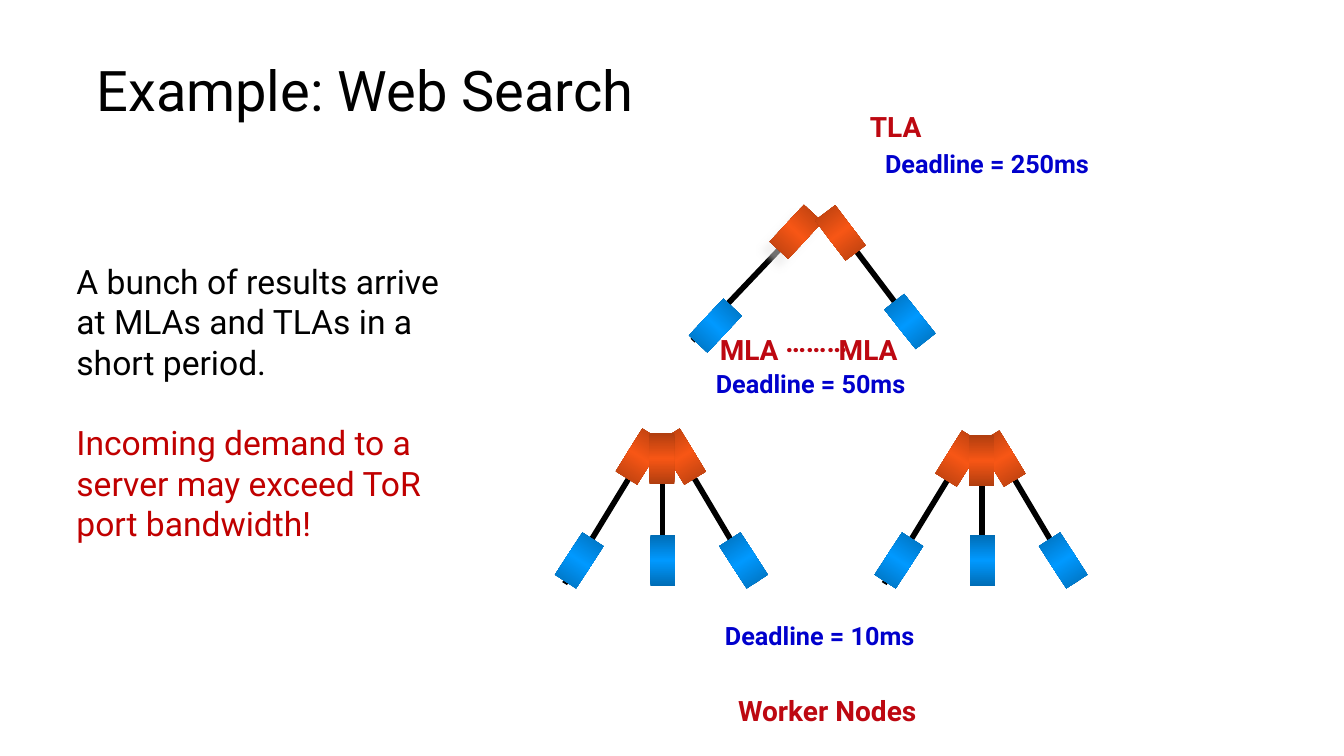
"""Build the web search example slide with its tree of deadlines."""
from copy import deepcopy
from dataclasses import dataclass
from typing import Optional

from lxml import etree
from pptx import Presentation
from pptx.dml.color import RGBColor
from pptx.enum.shapes import MSO_CONNECTOR, MSO_SHAPE
from pptx.enum.text import MSO_ANCHOR, MSO_AUTO_SIZE, PP_ALIGN
from pptx.oxml import parse_xml
from pptx.oxml.ns import nsdecls, qn
from pptx.shapes.autoshape import Shape
from pptx.slide import Slide
from pptx.text.text import TextFrame
from pptx.util import Inches, Pt

LEFT, MID = PP_ALIGN.LEFT, PP_ALIGN.CENTER
BOTTOM, TOP = MSO_ANCHOR.BOTTOM, MSO_ANCHOR.TOP
FIXED = MSO_AUTO_SIZE.NONE
RECT, LINE = MSO_SHAPE.RECTANGLE, MSO_CONNECTOR.STRAIGHT

FONT = "Roboto"
BLACK = RGBColor(0x00, 0x00, 0x00)
WHITE = RGBColor(0xFF, 0xFF, 0xFF)
RED = RGBColor(0xBD, 0x08, 0x11)
ALERT = RGBColor(0xC0, 0x00, 0x00)
NAVY = RGBColor(0x00, 0x00, 0xCC)
RUST = RGBColor(0xB1, 0x3E, 0x0F)
ORANGE = RGBColor(0xF7, 0x56, 0x15)
DEEP = RGBColor(0x00, 0x6D, 0xB6)
BLUE = RGBColor(0x00, 0x99, 0xFF)
WARM, COOL = (RUST, ORANGE, RUST), (DEEP, BLUE, DEEP)

BLOCK_W, BLOCK_H = 0.25, 0.5
FAN_GAP = 3.17


@dataclass(frozen=True)
class Label:
    text: str
    x: float
    y: float
    w: float
    h: float = 0.44
    size: int = 20
    color: RGBColor = RED
    align: PP_ALIGN = LEFT
    fill: Optional[RGBColor] = None


@dataclass(frozen=True)
class Link:
    x1: float
    y1: float
    x2: float
    y2: float


@dataclass(frozen=True)
class Block:
    x: float
    y: float
    turn: float
    tones: tuple[RGBColor, RGBColor, RGBColor]


LABELS = [
    Label("TLA", 8.53, 1.04, 0.83),
    Label("MLA", 8.22, 3.25, 0.91),
    Label("MLA", 7.04, 3.25, 0.91),
    Label("Worker Nodes", 7.12, 6.83, 2.17, align=MID),
    Label("………", 7.69, 3.17, 1, 0.77),
    Label("Deadline = 250ms", 8.58, 1.42, 2.42, 0.4, 18, NAVY, MID),
    Label("Deadline = 50ms", 6.83, 3.6, 2.42, 0.4, 18, NAVY, MID),
    Label("Deadline = 10ms", 6.92, 6.1, 2.42, 0.4, 18, NAVY, MID, WHITE),
]
TOP_LINKS = [Link(8.25, 2.17, 9.15, 3.36), Link(8.02, 2.17, 6.87, 3.38)]
FAN_LINKS = [
    Link(6.46, 4.38, 5.6, 5.79),
    Link(6.57, 4.37, 6.57, 5.77),
    Link(6.67, 4.38, 7.5, 5.78),
]
TOP_BLOCKS = [
    Block(8.21, 2.06, 322.8, WARM),
    Block(6.97, 2.98, 43.1, COOL),
    Block(8.9, 2.94, 321.6, COOL),
]
FAN_HEADS = [
    Block(6.22, 4.28, 31.8, WARM),
    Block(6.64, 4.28, 328.7, WARM),
    Block(6.44, 4.3, 0, WARM),
]
FAN_FEET = [
    Block(5.62, 5.31, 33, COOL),
    Block(7.25, 5.31, 327.1, COOL),
    Block(6.45, 5.31, 0, COOL),
]


def set_up(frame: TextFrame, anchor: MSO_ANCHOR = TOP) -> None:
    """Give a frame fixed size, wrapping and an anchor."""
    frame.word_wrap = True
    frame.auto_size = FIXED
    frame.vertical_anchor = anchor


def style(frame: TextFrame, size: int, color: RGBColor,
          align: PP_ALIGN = LEFT, bold: bool = False) -> None:
    """Format every paragraph and run of a frame."""
    for para in frame.paragraphs:
        para.alignment = align
        for run in para.runs:
            run.font.name = FONT
            run.font.size = Pt(size)
            run.font.bold = bold
            run.font.color.rgb = color


def add_label(slide: Slide, label: Label) -> None:
    """Draw one bold label."""
    box = slide.shapes.add_textbox(Inches(label.x), Inches(label.y),
                                   Inches(label.w), Inches(label.h))
    if label.fill is not None:
        box.fill.solid()
        box.fill.fore_color.rgb = label.fill
    set_up(box.text_frame)
    box.text_frame.text = label.text
    style(box.text_frame, label.size, label.color, label.align, True)


def add_link(slide: Slide, link: Link, dx: float = 0) -> None:
    """Draw one thick black line, moved right by dx."""
    line = slide.shapes.add_connector(
        LINE, Inches(link.x1 + dx), Inches(link.y1),
        Inches(link.x2 + dx), Inches(link.y2))
    line.line.color.rgb = BLACK
    line.line.width = Pt(4)
    etree.SubElement(line.element.spPr, qn("a:effectLst"))


def add_block(slide: Slide, block: Block, dx: float = 0, dy: float = 0) -> Shape:
    """Draw one turned block with a three-stop gradient."""
    shape = slide.shapes.add_shape(
        RECT, Inches(block.x + dx), Inches(block.y + dy),
        Inches(BLOCK_W), Inches(BLOCK_H))
    shape.rotation = block.turn
    shape.shadow.inherit = False
    shape.line.fill.background()
    shape.fill.gradient()
    shape.fill.gradient_angle = 270
    stops = shape.element.spPr.find(".//" + qn("a:gsLst"))
    stops.append(deepcopy(stops[0]))
    for i, (stop, tone) in enumerate(zip(shape.fill.gradient_stops, block.tones)):
        stop.position = i / 2
        stop.color.rgb = tone
    return shape


def add_glow(shape: Shape) -> None:
    """Cast a soft pale shadow to the lower left."""
    effects = shape.element.spPr.find(qn("a:effectLst"))
    effects.append(parse_xml(
        f'<a:outerShdw {nsdecls("a")} blurRad="{Pt(5)}" dist="{Pt(8.5)}" '
        'dir="8100000" algn="ctr" rotWithShape="0"><a:srgbClr val="E7E6E6">'
        '<a:alpha val="50000"/></a:srgbClr></a:outerShdw>'))


def add_title(slide: Slide) -> None:
    """Place and format the title."""
    title = slide.shapes.title
    title.left, title.top = Inches(-0.63), Inches(-0.33)
    title.width, title.height = Inches(8.5), Inches(1.61)
    set_up(title.text_frame, BOTTOM)
    title.text_frame.text = "Example: Web Search"
    title.text_frame.paragraphs[0].line_spacing = 0.9
    style(title.text_frame, 40, BLACK, MID)


def add_notice(slide: Slide) -> None:
    """Write the two statements on the left."""
    box = slide.shapes.add_textbox(Inches(0.66), Inches(2.54),
                                   Inches(4.04), Inches(2.93))
    frame = box.text_frame
    set_up(frame)
    frame.text = "A bunch of results arrive at MLAs and TLAs in a short period."
    alert = frame.add_paragraph()
    alert.text = "Incoming demand to a server may exceed ToR port bandwidth!"
    alert.space_before = Pt(28.8)
    style(frame, 24, BLACK)
    alert.runs[0].font.color.rgb = ALERT


def main() -> None:
    """Draw the slide and save it."""
    deck = Presentation()
    deck.slide_width, deck.slide_height = Inches(13.33), Inches(7.5)
    slide = deck.slides.add_slide(deck.slide_layouts[5])
    add_title(slide)
    for link in TOP_LINKS:
        add_link(slide, link)
    for i in range(2):
        for link in FAN_LINKS:
            add_link(slide, link, i * FAN_GAP)
    add_glow(add_block(slide, Block(7.77, 2.05, 42.8, WARM)))
    for block in TOP_BLOCKS:
        add_block(slide, block)
    for i in range(2):
        for block in FAN_HEADS:
            add_block(slide, block, i * FAN_GAP, i * 0.02)
        for block in FAN_FEET:
            add_block(slide, block, i * FAN_GAP)
    for label in LABELS:
        add_label(slide, label)
    add_notice(slide)
    deck.save("out.pptx")


if __name__ == "__main__":
    main()
